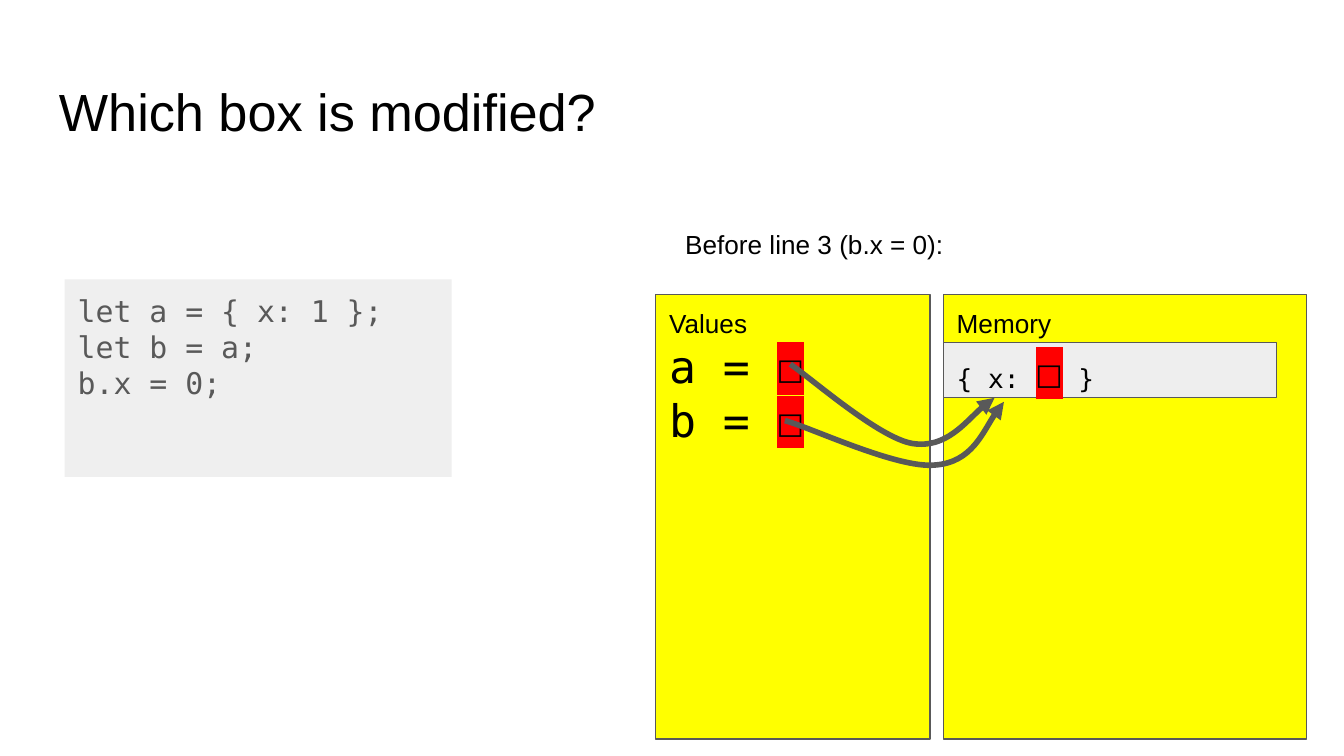
from dataclasses import dataclass

from lxml.etree import SubElement
from pptx import Presentation
from pptx.dml.color import RGBColor
from pptx.enum.shapes import MSO_SHAPE as Shape
from pptx.enum.text import MSO_ANCHOR as Anchor, PP_ALIGN as Align
from pptx.oxml.ns import qn
from pptx.util import Inches, Pt


@dataclass(frozen=True)
class Theme:
    black: str = "000000"
    gray: str = "595959"
    code_fill: str = "EFEFEF"
    object_fill: str = "EEEEEE"
    yellow: str = "FFFF00"
    red: str = "FF0000"
    sans: str = "Arial"
    mono: str = "DejaVu Sans Mono"
    title: int = 28
    values: int = 24
    code: int = 16
    body: int = 14
    border: float = 0.75
    arrow: float = 3


T = Theme()
BOX = "☐"
Point = tuple[float, float]


@dataclass(frozen=True)
class Frame:
    x: float
    y: float
    w: float
    h: float

    def lengths(self) -> list[int]:
        return [Inches(v) for v in (self.x, self.y, self.w, self.h)]


@dataclass(frozen=True)
class Curve:
    start: Point
    segments: list[tuple[Point, Point, Point]]  # control, control, end


def rgb(color: str) -> RGBColor:
    return RGBColor.from_string(color)


def add_run(p, text: str, *, size: int, font: str = T.sans,
            color: str = T.black, highlight: str | None = None) -> None:
    p.alignment = Align.LEFT
    r = p.add_run()
    r.text = text
    r.font.size = Pt(size)
    r.font.color.rgb = rgb(color)
    r.font.name = font
    if highlight:
        r_pr = r.font._element
        mark = SubElement(r_pr, qn("a:highlight"))
        SubElement(mark, qn("a:srgbClr"), val=highlight)
        r_pr.find(qn("a:latin")).addprevious(mark)


def set_frame(sp, anchor=Anchor.TOP):
    tf = sp.text_frame
    tf.word_wrap = True
    tf.vertical_anchor = anchor
    tf.margin_left = tf.margin_right = tf.margin_top = tf.margin_bottom = Inches(0.1)
    return tf


def add_label(s, frame: Frame, text: str, size: int) -> None:
    tf = set_frame(s.shapes.add_textbox(*frame.lengths()))
    add_run(tf.paragraphs[0], text, size=size)


def add_box(s, frame: Frame, fill: str, line: str | None = T.gray, anchor=Anchor.TOP):
    sp = s.shapes.add_shape(Shape.RECTANGLE, *frame.lengths())
    sp.shadow.inherit = False
    sp.fill.solid()
    sp.fill.fore_color.rgb = rgb(fill)
    if line:
        sp.line.color.rgb = rgb(line)
        sp.line.width = Pt(T.border)
    else:
        sp.line.fill.background()
    return set_frame(sp, anchor)


def add_curved_arrow(s, curve: Curve) -> None:
    builder = s.shapes.build_freeform(*map(Inches, curve.start))
    ends = [tuple(map(Inches, seg[-1])) for seg in curve.segments]
    builder.add_line_segments(ends, close=False)
    sp = builder.convert_to_shape()
    sp.shadow.inherit = False
    sp.fill.background()
    sp.line.color.rgb = rgb(T.gray)
    sp.line.width = Pt(T.arrow)
    SubElement(sp.line._get_or_add_ln(), qn("a:tailEnd"), type="triangle")
    # Bend each straight segment into a cubic curve
    for straight, seg in zip(list(sp._element.iter(qn("a:lnTo"))), curve.segments):
        bend = SubElement(straight.getparent(), qn("a:cubicBezTo"))
        for x, y in seg:
            SubElement(bend, qn("a:pt"), x=str(Inches(x) - sp.left), y=str(Inches(y) - sp.top))
        straight.getparent().replace(straight, bend)


def main() -> None:
    prs = Presentation()
    prs.slide_width = Inches(10)
    prs.slide_height = Inches(10 * 9 / 16)
    s = prs.slides.add_slide(prs.slide_layouts[6])

    # Code listing
    tf = add_box(s, Frame(0.48, 2.08, 2.88, 1.47), T.code_fill, line=None)
    for i, code in enumerate(["let a = { x: 1 };", "let b = a;", "b.x = 0;"]):
        p = tf.add_paragraph() if i else tf.paragraphs[0]
        add_run(p, code, size=T.code, font=T.mono, color=T.gray)

    # Values panel
    tf = add_box(s, Frame(4.88, 2.19, 2.04, 3.31), T.yellow)
    add_run(tf.paragraphs[0], "Values", size=T.body)
    for name in "ab":
        p = tf.add_paragraph()
        add_run(p, f"{name} = ", size=T.values, font=T.mono)
        add_run(p, BOX, size=T.values, font=T.mono, highlight=T.red)

    # Memory panel
    tf = add_box(s, Frame(7.02, 2.19, 2.7, 3.31), T.yellow)
    add_run(tf.paragraphs[0], "Memory", size=T.body)

    # Title
    add_label(s, Frame(0.34, 0.49, 9.32, 0.63), "Which box is modified?", T.title)

    # Stored object
    tf = add_box(s, Frame(7.02, 2.55, 2.48, 0.41), T.object_fill, anchor=Anchor.MIDDLE)
    p = tf.paragraphs[0]
    add_run(p, "{ x: ", size=T.body, font=T.mono)
    add_run(p, BOX, size=T.values, font=T.mono, highlight=T.red)
    add_run(p, " }", size=T.body, font=T.mono)

    # References from both variables to the object
    for curve in (
        Curve((5.88, 2.71), [((6.03, 2.81), (6.54, 3.26), (6.79, 3.3)),
                             ((7.04, 3.34), (7.3, 3.01), (7.4, 2.96))]),
        Curve((5.84, 3.13), [((6.03, 3.18), (6.68, 3.49), (6.96, 3.46)),
                             ((7.23, 3.44), (7.39, 3.07), (7.47, 2.99))]),
    ):
        add_curved_arrow(s, curve)

    # Caption
    add_label(s, Frame(5, 1.6, 2.14, 0.47), "Before line 3 (b.x = 0):", T.body)

    prs.save("out.pptx")


if __name__ == "__main__":
    main()
